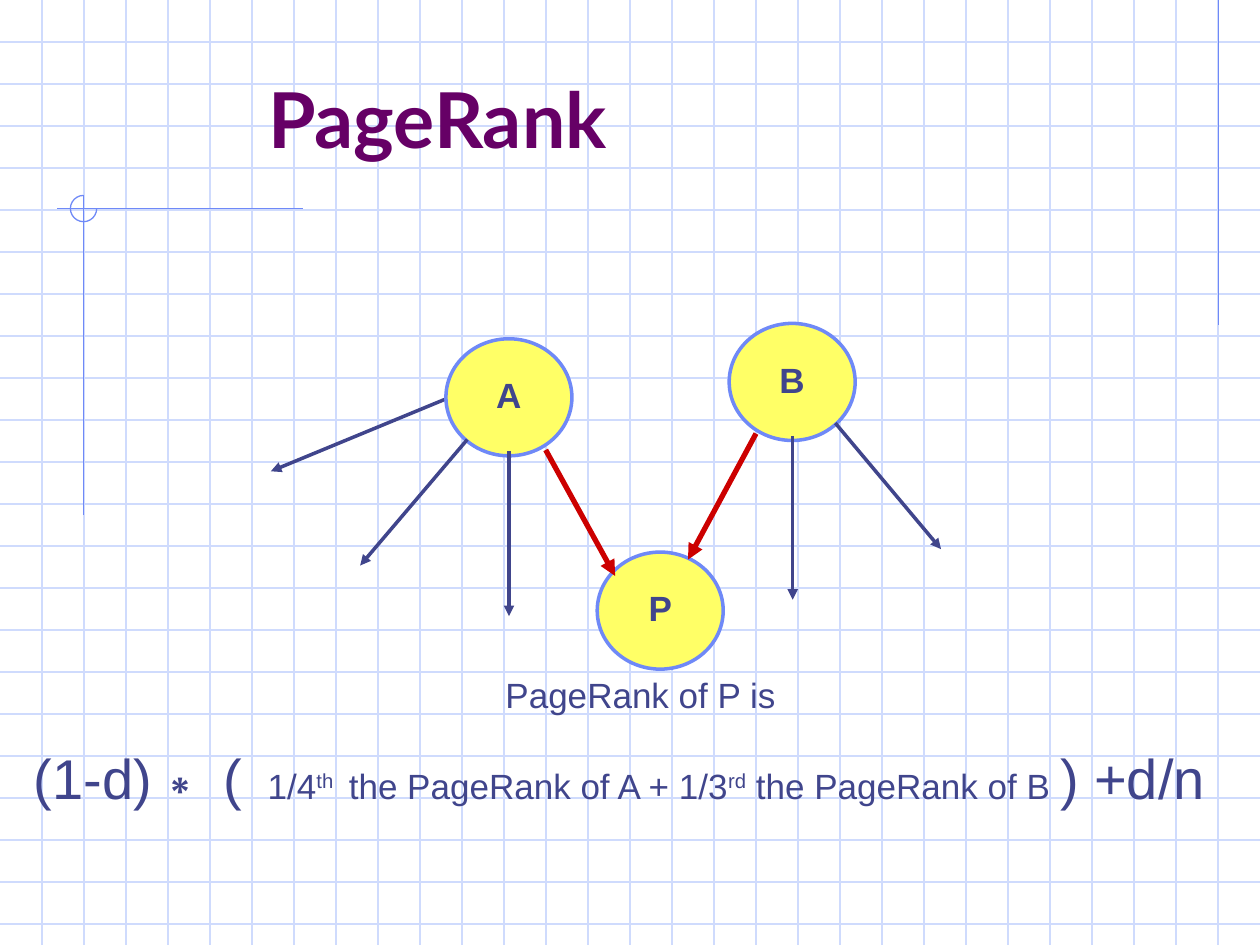
from lxml import etree
from pptx import Presentation
from pptx.dml.color import RGBColor
from pptx.enum.shapes import MSO_CONNECTOR, MSO_SHAPE
from pptx.enum.text import MSO_ANCHOR, PP_ALIGN
from pptx.oxml.ns import qn
from pptx.util import Cm, Pt

STRAIGHT = MSO_CONNECTOR.STRAIGHT
OVAL, ARC = MSO_SHAPE.OVAL, MSO_SHAPE.ARC
MIDDLE, BOTTOM = MSO_ANCHOR.MIDDLE, MSO_ANCHOR.BOTTOM
CENTER, LEFT = PP_ALIGN.CENTER, PP_ALIGN.LEFT

GRID, FRAME, INK = "CFDBFD", "6F89F7", "40458C"
RED, YELLOW, PURPLE = "CC0000", "FFFF66", "660066"
WIDTH, HEIGHT, STEP = 25.4, 19.05, 2.54 / 3

prs = Presentation()
prs.slide_width, prs.slide_height = Cm(WIDTH), Cm(HEIGHT)
slide = prs.slides.add_slide(prs.slide_layouts[6])


def add_line(x1, y1, x2, y2, color, weight, arrow=False):
    line = slide.shapes.add_connector(STRAIGHT, Cm(x1), Cm(y1), Cm(x2), Cm(y2))
    line.line.color.rgb = RGBColor.from_string(color)
    line.line.width = Pt(weight)
    if arrow:
        etree.SubElement(line.line._get_or_add_ln(), qn("a:tailEnd"), type="triangle")
    etree.SubElement(line._element.spPr, qn("a:effectLst"))


def add_run(paragraph, text, size, color=INK, font="Arial", bold=False, raised=False):
    run = paragraph.add_run()
    run.text = text
    run.font.size = Pt(size)
    run.font.name = font
    run.font.bold = bold
    run.font.color.rgb = RGBColor.from_string(color)
    if raised:
        run._r.get_or_add_rPr().set("baseline", "30000")


# Squared paper
for row in range(1, 23):
    add_line(0, row * STEP, WIDTH, row * STEP, GRID, 0.75)
for column in range(1, 30):
    add_line(column * STEP, 0, column * STEP, HEIGHT, GRID, 0.75)

# Corner ornament and right rule
for ends in [
    (24.56, 0, 24.56, 6.55),
    (6.1, 4.2, 1.14, 4.2),
    (1.69, 3.94, 1.69, 10.39),
]:
    add_line(*ends, FRAME, 0.75)
corner = slide.shapes.add_shape(ARC, Cm(1.42), Cm(3.94), Cm(0.53), Cm(0.53))
corner.shadow.inherit = False
corner.adjustments[0] = 0
corner.adjustments[1] = 162  # 270 degrees, in units of 100000/60000 degree
corner.fill.background()
corner.line.color.rgb = RGBColor.from_string(FRAME)
corner.line.width = Pt(0.75)

# Title
title = slide.shapes.add_textbox(Cm(5.16), Cm(1.09), Cm(18.14), Cm(2.34)).text_frame
title.word_wrap = True
title.vertical_anchor = BOTTOM
add_run(title.paragraphs[0], "PageRank", 44, PURPLE, "Lato", bold=True)

# Link graph: each page with the links that leave it
pages = [
    ("P", 12.04, 11.13, []),
    ("A", 8.99, 6.83, [
        (11, 9.07, 12.4, 11.61, RED, 3),
        (9.42, 8.86, 7.26, 11.4, INK, 2),
        (10.26, 9.09, 10.26, 12.42, INK, 2),
    ]),
    ("B", 14.7, 6.52, [
        (15.24, 8.74, 13.87, 11.28, RED, 3),
        (16.84, 8.53, 18.97, 11.07, INK, 2),
        (15.98, 8.79, 15.98, 12.09, INK, 2),
    ]),
]
add_line(9.09, 8, 5.46, 9.5, INK, 2, arrow=True)  # starts behind page A
for name, left, top, links in pages:
    page = slide.shapes.add_shape(OVAL, Cm(left), Cm(top), Cm(2.54), Cm(2.36))
    page.shadow.inherit = False
    page.fill.solid()
    page.fill.fore_color.rgb = RGBColor.from_string(YELLOW)
    page.line.color.rgb = RGBColor.from_string(FRAME)
    page.line.width = Pt(2)
    label = page.text_frame
    label.word_wrap = False
    label.vertical_anchor = MIDDLE
    label.paragraphs[0].alignment = CENTER
    label.paragraphs[0].line_spacing = 0.9
    add_run(label.paragraphs[0], name, 20, bold=True)
    for link in links:
        add_line(*link, arrow=True)

# Formula
formula = slide.shapes.add_textbox(Cm(0.43), Cm(13.54), Cm(24.97), Cm(2.95)).text_frame
formula.word_wrap = True
heading = formula.paragraphs[0]
heading.alignment = CENTER
heading.line_spacing = 0.9
add_run(heading, "PageRank of P is", 20)

terms = formula.add_paragraph()
terms.alignment = LEFT
terms.line_spacing = 0.9
terms.space_before = Pt(20)
for text, size, raised in [
    ("(1-d)∗ ( ", 32, False),
    (" 1/4", 20, False),
    ("th ", 20, True),
    (" the PageRank of A + 1/3", 20, False),
    ("rd", 20, True),
    (" the PageRank of B ", 20, False),
    (") +d/n", 32, False),
]:
    add_run(terms, text, size, raised=raised)

prs.save("out.pptx")
